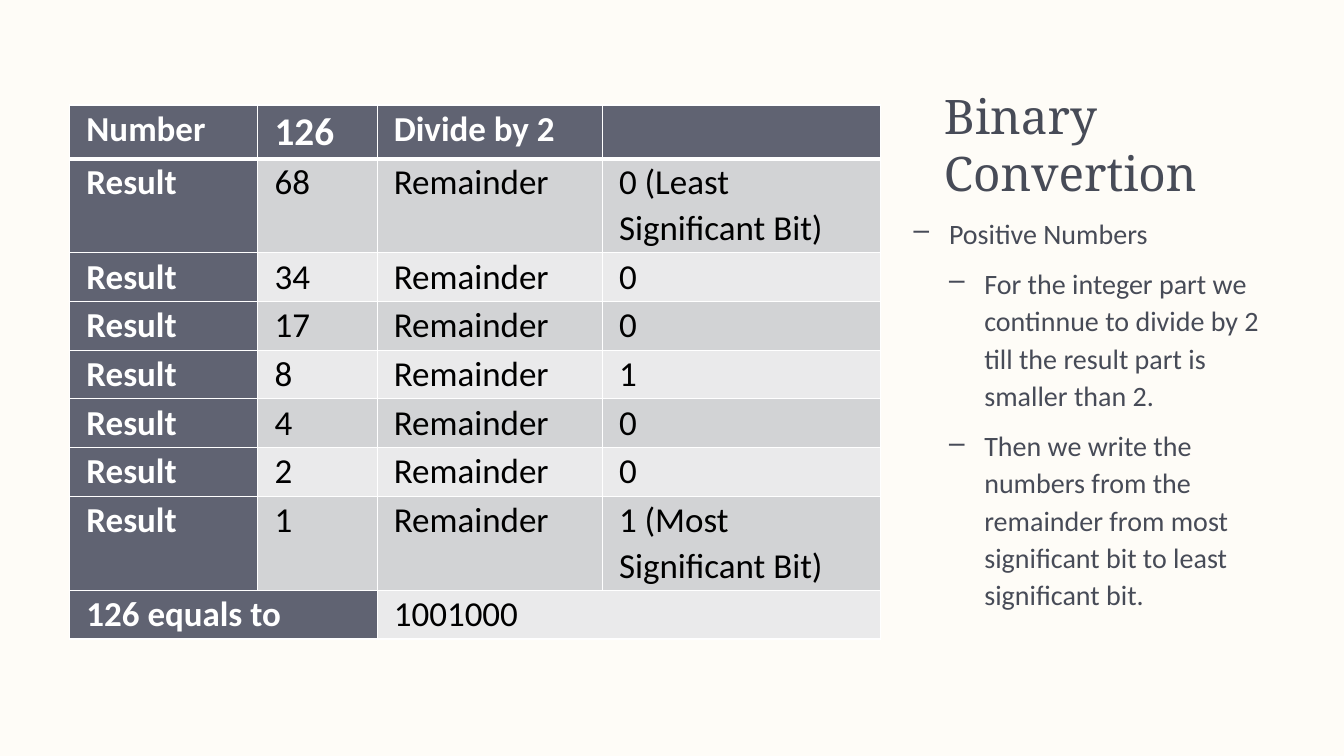
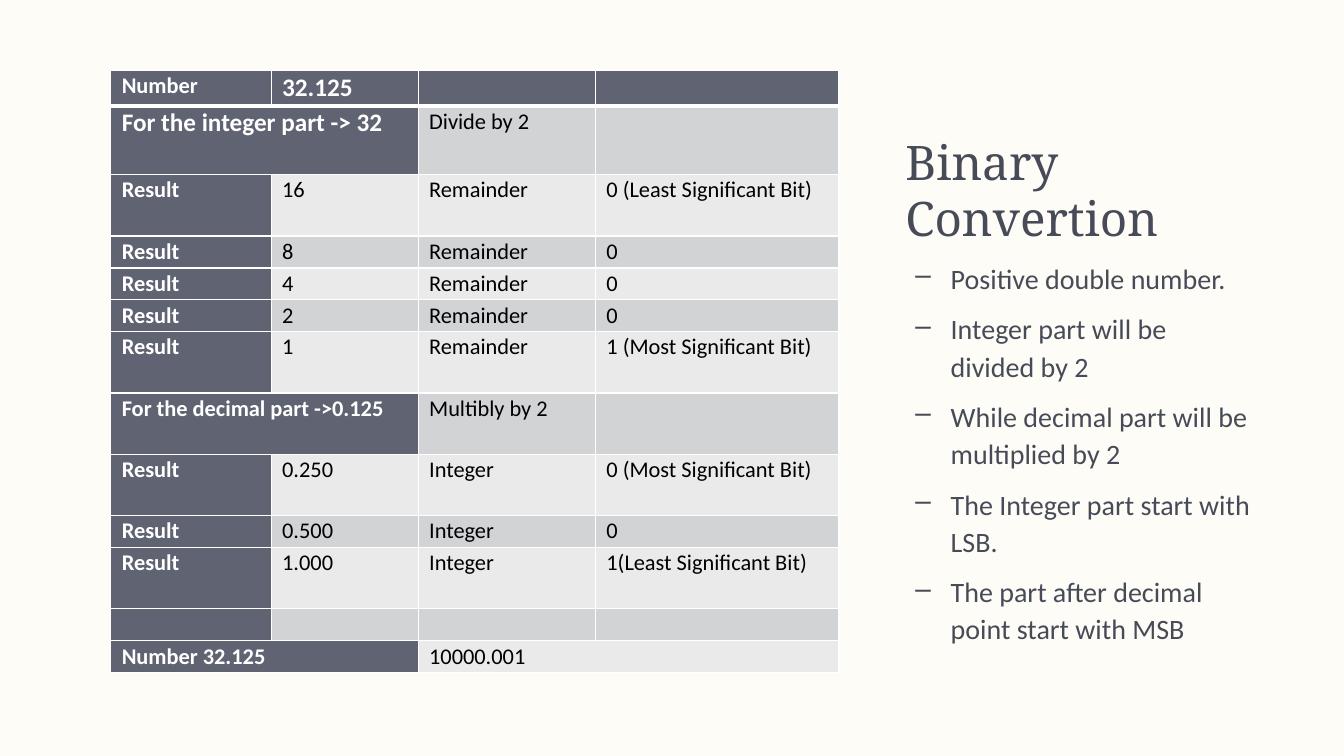
from lxml.etree import SubElement
from pptx import Presentation
from pptx.dml.color import RGBColor
from pptx.enum.text import MSO_ANCHOR
from pptx.oxml.ns import qn
from pptx.util import Inches, Pt

BOTTOM, TOP = MSO_ANCHOR.BOTTOM, MSO_ANCHOR.TOP
COLS, ROWS = 16, 9


def rgb(value):
    return RGBColor.from_string(value)


def add_text(p, text, font="Calibri", size=20, color="474B57", bold=False,
             spacing=1.0, before=0):
    p.line_spacing = spacing
    p.space_before = Pt(before)
    r = p.add_run()
    r.text = text
    r.font.name = font
    r.font.size = Pt(size)
    r.font.bold = bold
    r.font.color.rgb = rgb(color)


class Deck:
    PAPER, DARK, WHITE, BLACK = "FEFCF7", "606372", "FFFFFF", "000000"
    BANDS = ("EAEAEB", "D2D3D5")
    INDENT = 0.42

    def __init__(self):
        self.prs = Presentation()
        self.prs.slide_width = Inches(13.33)
        self.prs.slide_height = Inches(7.5)
        self.s = None

    def x(self, columns):
        return round(self.prs.slide_width * columns / COLS)

    def y(self, rows):
        return round(self.prs.slide_height * rows / ROWS)

    def slide(self):
        self.s = self.prs.slides.add_slide(self.prs.slide_layouts[6])
        fill = self.s.background.fill
        fill.solid()
        fill.fore_color.rgb = rgb(self.PAPER)

    def box(self, left, top, width, height, anchor=TOP):
        sp = self.s.shapes.add_textbox(
            self.x(left), self.y(top), self.x(width), self.y(height))
        tf = sp.text_frame
        tf.word_wrap = True
        tf.vertical_anchor = anchor
        return tf

    def title(self, text, left, top):
        tf = self.box(left, top, 4.24, 2.22, BOTTOM)
        add_text(tf.paragraphs[0], text, font="Noto Serif", size=34, spacing=0.99)

    def bullets(self, items, left, top, width, height):
        tf = self.box(left, top, width, height)
        for i, (level, text) in enumerate(items):
            p = tf.add_paragraph() if i else tf.paragraphs[0]
            p.level = level
            add_text(p, text, spacing=1.11, before=9.3)
            pPr = p._p.get_or_add_pPr()
            pPr.set("marL", str(self.x(self.INDENT * (level + 1))))
            pPr.set("indent", str(-self.x(self.INDENT)))
            SubElement(pPr, qn("a:buChar")).set("char", "–")

    def borders(self, cell, row):
        tcPr = cell._tc.get_or_add_tcPr()
        widths = {"L": 1, "R": 1, "T": 3 if row == 1 else 1, "B": 3 if row == 0 else 1}
        for side, width in widths.items():
            ln = SubElement(tcPr, qn("a:ln" + side), w=str(Pt(width)))
            fill = SubElement(ln, qn("a:solidFill"))
            SubElement(fill, qn("a:srgbClr")).set("val", self.WHITE)

    def cell(self, cell, row, col, text, size, inset):
        head = row == 0 or col == 0
        cell.margin_left = cell.margin_right = self.x(inset)
        cell.margin_top = cell.margin_bottom = 0
        self.borders(cell, row)
        cell.fill.solid()
        cell.fill.fore_color.rgb = rgb(self.DARK if head else self.BANDS[row % 2])
        if text:
            add_text(cell.text_frame.paragraphs[0], text, size=size, bold=head,
                     color=self.WHITE if head else self.BLACK, spacing=1.07)

    def table(self, data, left, top, widths, heights, size, inset, larger):
        table = self.s.shapes.add_table(
            len(data), len(widths), self.x(left), self.y(top),
            self.x(sum(widths)), self.y(sum(heights))).table
        for column, width in zip(table.columns, widths):
            column.width = self.x(width)
        for row, height in zip(table.rows, heights):
            row.height = self.y(height)
        for i, values in enumerate(data):
            for j, text in enumerate(values):
                cell = table.cell(i, j)
                self.cell(cell, i, 0 if text is None and j == 1 else j, text,
                          larger.get(text, size), inset)
                if text is None:
                    table.cell(i, j - 1).merge(cell)


def results(kind, pairs):
    return [("Result", value, kind, bit) for value, bit in pairs]


def main():
    deck = Deck()
    title = "Binary Convertion"
    least, most = "0 (Least Significant Bit)", "1 (Most Significant Bit)"

    deck.slide()
    deck.title(title, 11.12, 0.25)
    deck.bullets([
        (0, "Positive Numbers"),
        (1, "For the integer part we continnue to divide by 2 till the result "
            "part is smaller than 2."),
        (1, "Then we write the numbers from the remainder from most significant "
            "bit to least significant bit."),
    ], 10.76, 2.47, 4.6, 5.53)
    line, double = 0.58, 1.12
    deck.table(
        [("Number", "126", "Divide by 2", "")]
        + results("Remainder", [("68", least), ("34", "0"), ("17", "0"), ("8", "1"),
                                ("4", "0"), ("2", "0"), ("1", most)])
        + [("126 equals to", None, "1001000", None)],
        0.83, 1.25, [2.24, 1.42, 2.68, 3.31],
        [0.64, double] + [line] * 5 + [double, line],
        size=25, inset=0.2, larger={"126": 28})

    deck.slide()
    deck.title(title, 10.66, 0.79)
    deck.bullets([(0, text) for text in (
        "Positive double number.",
        "Integer part will be divided by 2",
        "While decimal part will be multiplied by 2",
        "The Integer part start with LSB.",
        "The part after decimal point start with MSB",
    )], 10.78, 3.01, 4.24, 5.66)
    integer_part = "For the integer part -> 32"
    line, double = 0.38, 0.73
    deck.table(
        [("Number", "32.125", "", ""), (integer_part, None, "Divide by 2", "")]
        + results("Remainder", [("16", least), ("8", "0"), ("4", "0"), ("2", "0"),
                                ("1", most)])
        + [("For the decimal part ->0.125", None, "Multibly by 2", "")]
        + results("Integer", [("0.250", "0 (Most Significant Bit)"), ("0.500", "0"),
                              ("1.000", "1(Least Significant Bit)")])
        + [("", "", "", ""), ("Number 32.125", None, "10000.001", None)],
        1.32, 0.84, [1.91, 1.75, 2.11, 2.9],
        [0.42, 0.82, double] + [line] * 3 + [double] * 3 + [line, double, line, line],
        size=16, inset=0.13, larger={"32.125": 18, integer_part: 18})

    deck.prs.save("out.pptx")


if __name__ == "__main__":
    main()
